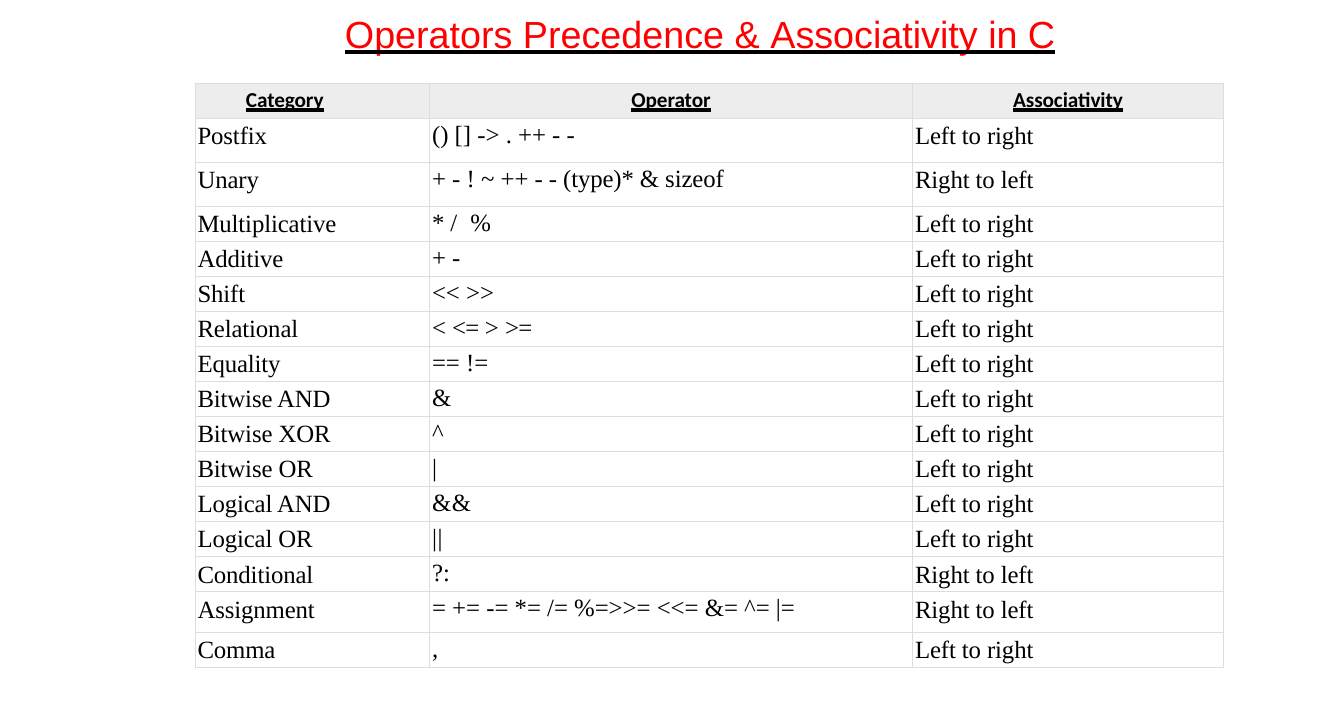
from lxml import etree
from pptx import Presentation
from pptx.dml.color import RGBColor
from pptx.enum.text import MSO_ANCHOR, MSO_AUTO_SIZE, MSO_UNDERLINE, PP_ALIGN
from pptx.oxml.ns import qn
from pptx.util import Inches, Pt

HEADERS = ["Category", "Operator", "Associativity"]
COLUMN_WIDTHS = [3.68, 7.58, 4.88]
ROW_HEIGHT = 0.55
TALL_ROWS = {"Postfix": 0.69, "Unary": 0.69, "Assignment": 0.64}
RIGHT_TO_LEFT = {"Unary", "Conditional", "Assignment"}

# Each operator text is a list of runs: (text, letter spacing in points).
OPERATORS = {
    "Postfix": [("() [] -> . ++ - -", 0)],
    "Unary": [("+ - ! ~ ++ ", 0), ("- - (type)* & sizeof", -0.1)],
    "Multiplicative": [("* ", -0.3), ("/ ", 3.9), ("%", -3.1)],
    "Additive": [("+ -", 0)],
    "Shift": [("<< >>", 0)],
    "Relational": [("< ", 0), ("<= ", -0.8), ("> ", 0), (">=", -0.8)],
    "Equality": [("== !=", 0)],
    "Bitwise AND": [("&", 0)],
    "Bitwise XOR": [("^", 0)],
    "Bitwise OR": [("|", 0)],
    "Logical AND": [("&&", 0.8)],
    "Logical OR": [("||", 0.8)],
    "Conditional": [("?:", 0.1)],
    "Assignment": [("= += -= *= /= %=>>= <<= &= ^= |=", 0)],
    "Comma": [(",", 0)],
}


def color(value):
    return RGBColor.from_string(value)


def add_solid_fill(parent, value):
    fill = etree.SubElement(parent, qn("a:solidFill"))
    etree.SubElement(fill, qn("a:srgbClr"), val=value)


class OperatorSlide:
    BLACK, RED = "000000", "FF0000"
    HEADER_FILL, BORDER = "EDEDED", "DDDDDD"
    TITLE_FONT = ("Arial", 42.6)
    HEADER_FONT = ("Calibri", 24)
    BODY_FONT = ("Times New Roman", 28)

    def __init__(self, deck):
        self.page = deck.slides.add_slide(deck.slide_layouts[5])

    def add_spans(self, para, spans, font, ink, bold=False, underlined=False):
        for text, spacing in spans:
            span = para.add_run()
            span.text = text
            span.font.name, size = font
            span.font.size = Pt(size)
            span.font.bold = bold
            span.font.color.rgb = color(ink)
            props = span._r.get_or_add_rPr()
            props.set("spc", str(round(spacing * 100)))
            if underlined:
                span.font.underline = MSO_UNDERLINE.HEAVY_LINE
                line_fill = etree.Element(qn("a:uFill"))
                add_solid_fill(line_fill, self.BLACK)
                props.find(qn("a:solidFill")).addnext(line_fill)

    def title(self, spans, left, top, width, height):
        box = self.page.shapes.title
        box.left, box.top = Inches(left), Inches(top)
        box.width, box.height = Inches(width), Inches(height)
        frame = box.text_frame
        frame.word_wrap = True
        frame.auto_size = MSO_AUTO_SIZE.SHAPE_TO_FIT_TEXT
        frame.vertical_anchor = MSO_ANCHOR.MIDDLE
        frame.margin_left = frame.margin_top = Inches(0.02)
        frame.margin_right = frame.margin_bottom = 0
        para = frame.paragraphs[0]
        para.alignment = PP_ALIGN.CENTER
        para.line_spacing = Pt(43.9)
        self.add_spans(para, spans, self.TITLE_FONT, self.RED, underlined=True)

    def table(self, left, top, widths, heights):
        frame = self.page.shapes.add_table(
            len(heights), len(widths), Inches(left), Inches(top),
            Inches(sum(widths)), Inches(sum(heights)))
        grid = frame.table
        grid.first_row = grid.horz_banding = False
        for column, width in zip(grid.columns, widths):
            column.width = Inches(width)
        for row, height in zip(grid.rows, heights):
            row.height = Inches(height)
        return grid

    def style_cell(self, cell, indent, top, fill=None):
        """Set margins, then borders, then fill, and return the paragraph."""
        cell.margin_left, cell.margin_top = Inches(indent), Inches(top)
        cell.margin_right = cell.margin_bottom = 0
        cell.vertical_anchor = MSO_ANCHOR.TOP
        props = cell._tc.get_or_add_tcPr()
        for side in ("lnL", "lnR", "lnT", "lnB"):
            line = etree.SubElement(props, qn(f"a:{side}"), w=str(int(Pt(0.75))))
            add_solid_fill(line, self.BORDER)
        if fill:
            cell.fill.solid()
            cell.fill.fore_color.rgb = color(fill)
        else:
            cell.fill.background()
        return cell.text_frame.paragraphs[0]

    def header_cell(self, cell, text, indent=0):
        para = self.style_cell(cell, indent, 0.07, self.HEADER_FILL)
        para.alignment = PP_ALIGN.LEFT if indent else PP_ALIGN.CENTER
        self.add_spans(para, [(text, -0.1)], self.HEADER_FONT, self.BLACK,
                       bold=True, underlined=True)

    def body_cell(self, cell, spans, top=0.07):
        para = self.style_cell(cell, 0.04, top)
        self.add_spans(para, spans, self.BODY_FONT, self.BLACK)


def main():
    deck = Presentation()
    deck.slide_width, deck.slide_height = Inches(21.09), Inches(11.42)
    slide = OperatorSlide(deck)
    slide.title([("Operators Precedence &", 0), (" ", -2.6),
                 ("Associativity", 0), (" ", -0.5), ("in C", -0.1)],
                3.42, 0.24, 15.11, 0.64)

    heights = [ROW_HEIGHT] + [TALL_ROWS.get(name, ROW_HEIGHT) for name in OPERATORS]
    grid = slide.table(3.06, 1.3, COLUMN_WIDTHS, heights)
    for column, header in enumerate(HEADERS):
        slide.header_cell(grid.cell(0, column), header,
                          indent=0.8 if column == 0 else 0)
    for row, (category, operators) in enumerate(OPERATORS.items(), 1):
        direction = "Right to left" if category in RIGHT_TO_LEFT else "Left to right"
        slide.body_cell(grid.cell(row, 0), [(category, -0.1)])
        slide.body_cell(grid.cell(row, 1), operators, top=0.05)
        slide.body_cell(grid.cell(row, 2), [(direction, -0.1)])

    deck.save("out.pptx")


if __name__ == "__main__":
    main()
